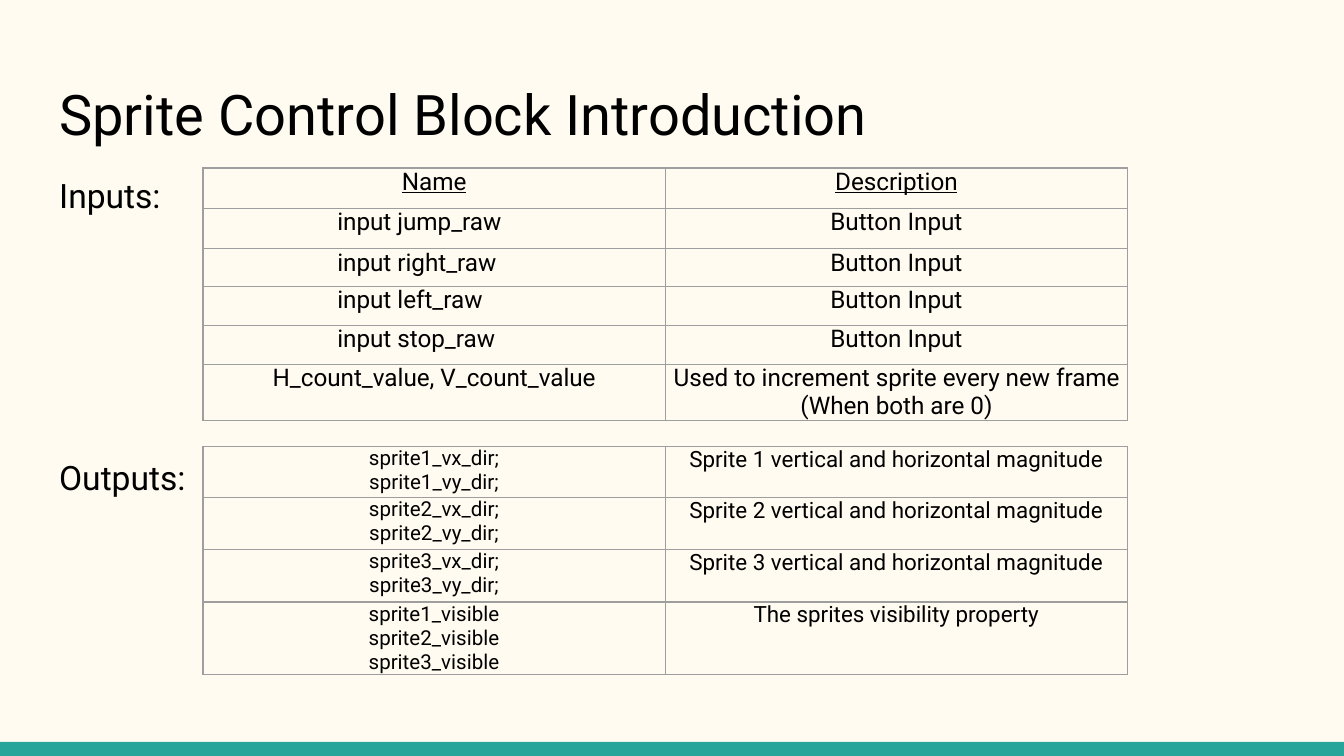
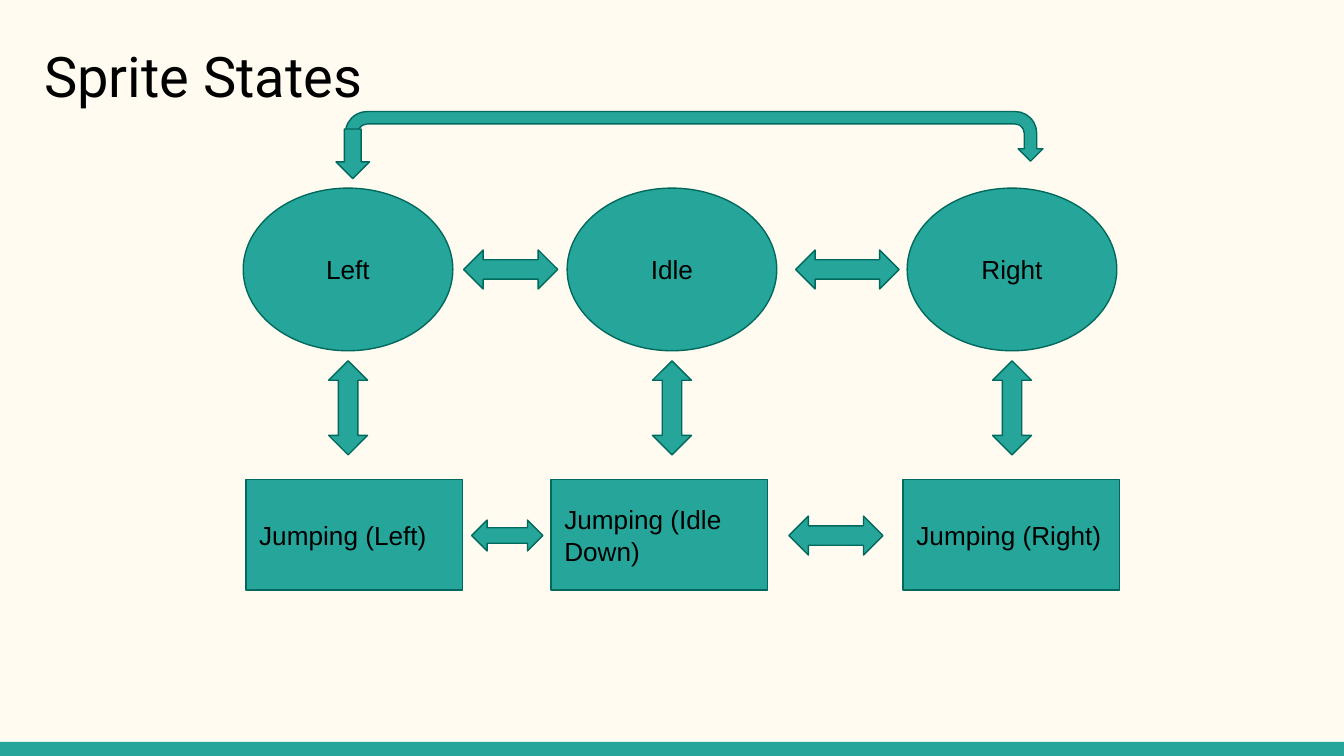
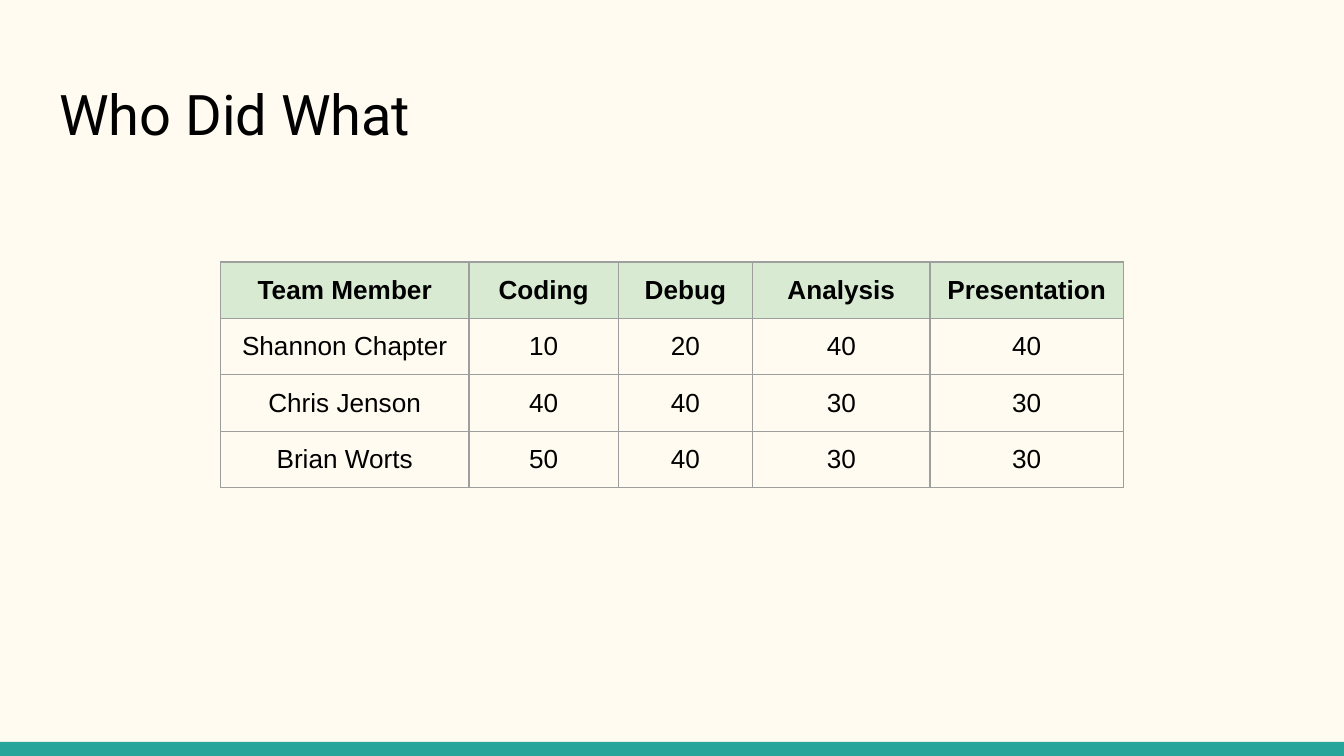
from dataclasses import dataclass
from typing import NamedTuple

from lxml import etree
from pptx import Presentation
from pptx.dml.color import RGBColor
from pptx.enum.shapes import MSO_SHAPE
from pptx.enum.text import MSO_ANCHOR, MSO_AUTO_SIZE, PP_ALIGN
from pptx.oxml.ns import qn
from pptx.util import Emu, Inches, Pt

OVAL, RECT = MSO_SHAPE.OVAL, MSO_SHAPE.RECTANGLE
TWO_WAY, DOWN, U_TURN = (
    MSO_SHAPE.LEFT_RIGHT_ARROW, MSO_SHAPE.DOWN_ARROW, MSO_SHAPE.U_TURN_ARROW)
LEFT, MID = PP_ALIGN.LEFT, PP_ALIGN.CENTER
TOP, CENTER = MSO_ANCHOR.TOP, MSO_ANCHOR.MIDDLE
WIDE, HIGH = Inches(10), Inches(5.625)
COLS = 100
ROWS = COLS * HIGH / WIDE


@dataclass(frozen=True)
class Theme:
    paper: str = "FFFBF0"
    teal: str = "26A69A"
    edge: str = "00695C"
    grid: str = "9E9E9E"
    mint: str = "D9EAD3"
    ink: str = "000000"
    head: str = "Roboto"
    plain: str = "Arial"
    title: int = 30
    label: int = 18
    state: int = 14
    input: int = 13
    note: int = 12
    code: int = 11
    line: float = 0.75
    pad: float = 1


THEME = Theme()


class Box(NamedTuple):
    x: float
    y: float
    w: float
    h: float


class Node(NamedTuple):
    text: str
    mid: float


class Arrow(NamedTuple):
    mid: float
    row: float
    size: float
    thick: float
    turn: int = 0


class Cell(NamedTuple):
    text: str
    size: int
    font: str = THEME.head
    bold: bool = False
    under: bool = False
    inset: float = 0
    fill: str = ""


class Grid(NamedTuple):
    x: float
    y: float
    cols: list[float]
    rows: list[float]
    pad: float
    cells: list[list[Cell]]


TITLE = Box(3.4, 4.9, 93.2, 6.7)
TITLE_UP = Box(2.3, 2.1, 27.4, 6.7)
BODY = Box(3.4, 11.6, 93.2, 38.4)
BAND = Box(0, 55.2, COLS, ROWS - 55.2)

OVALS = [Node("Left", 25.9), Node("Idle", 50), Node("Right", 75.3)]
JUMPS = [Node("Jumping (Left)", 26.35), Node("Jumping (Idle Down)", 49.05),
         Node("Jumping (Right)", 75.25)]
ARROWS = [
    Arrow(38, 20.05, 7, 2.9),
    Arrow(63.05, 20.05, 7.7, 2.9),
    *(Arrow(node.mid, 30.35, 7, 2.9, 90) for node in OVALS),
    Arrow(37.75, 39.85, 5.3, 2.3),
    Arrow(62.2, 39.85, 7, 2.9),
]

INPUTS = Grid(
    15.1, 12.5, [34.4] * 2, [3, 3, 2.8, 2.9, 2.9, 4.2], 0,
    [[Cell(text, THEME.input, under=True) for text in ("Name", "Description")]]
    + [[Cell(f"input {key}_raw", THEME.input, inset=10),
        Cell("Button Input", THEME.input)]
       for key in ("jump", "right", "left", "stop")]
    + [[Cell("H_count_value, V_count_value", THEME.input),
        Cell("Used to increment sprite every new frame (When both are 0)",
             THEME.input)]])

OUTPUTS = Grid(
    15.1, 33.2, [34.4] * 2, [3.8, 3.9, 3.9, 5.4], 0,
    [[Cell(f"sprite{n}_vx_dir;\nsprite{n}_vy_dir;", THEME.code),
      Cell(f"Sprite {n} vertical and horizontal magnitude", THEME.note)]
     for n in (1, 2, 3)]
    + [[Cell("\n".join(f"sprite{n}_visible" for n in (1, 2, 3)), THEME.code),
        Cell("The sprites visibility property", THEME.note)]])

TASKS = ["Team Member", "Coding", "Debug", "Analysis", "Presentation"]
SHARES = [
    ["Shannon Chapter", "10", "20", "40", "40"],
    ["Chris Jenson", "40", "40", "30", "30"],
    ["Brian Worts", "50", "40", "30", "30"],
]
TEAM = Grid(
    16.4, 19.5, [18.5, 11.1, 10, 13.2, 14.4], [4.2] * 4, THEME.pad,
    [[Cell(text, THEME.state, THEME.plain, bold=True, fill=THEME.mint)
      for text in TASKS]]
    + [[Cell(text, THEME.state, THEME.plain) for text in row]
       for row in SHARES])


def span(units: float) -> Emu:
    return Emu(round(units * WIDE / COLS))


def paint(fill, tone: str) -> None:
    fill.solid()
    fill.fore_color.rgb = RGBColor.from_string(tone)


def place(shape, box: Box) -> None:
    shape.left, shape.top, shape.width, shape.height = map(span, box)


def frame(text, anchor) -> None:
    text.word_wrap = True
    text.auto_size = MSO_AUTO_SIZE.NONE
    text.vertical_anchor = anchor
    text.margin_left = text.margin_right = span(THEME.pad)
    text.margin_top = text.margin_bottom = span(THEME.pad)


def style(par, size: int, font: str, align) -> None:
    par.alignment = align
    par.font.size = Pt(size)
    par.font.name = font
    par.font.color.rgb = RGBColor.from_string(THEME.ink)


def indent(par, units: float) -> None:
    props = par._p.get_or_add_pPr()
    props.set("marL", str(span(units)))
    props.set("indent", "0")


def start(deck, layout: int, text: str, box: Box = TITLE):
    slide = deck.slides.add_slide(deck.slide_layouts[layout])
    title = slide.shapes.title
    place(title, box)
    title.text_frame.text = text
    frame(title.text_frame, TOP)
    style(title.text_frame.paragraphs[0], THEME.title, THEME.head, LEFT)
    return slide


def draw(slide, kind, box: Box, edge: str = THEME.edge):
    shape = slide.shapes.add_shape(kind, *map(span, box))
    shape.shadow.inherit = False
    paint(shape.fill, THEME.teal)
    if edge:
        paint(shape.line.fill, edge)
        shape.line.width = Pt(THEME.line)
    else:
        shape.line.fill.background()
    return shape


def draw_nodes(slide, kind, nodes: list[Node], y: float, w: float, h: float,
               align) -> None:
    for node in nodes:
        shape = draw(slide, kind, Box(node.mid - w / 2, y, w, h))
        shape.text_frame.text = node.text
        frame(shape.text_frame, CENTER)
        style(shape.text_frame.paragraphs[0], THEME.state, THEME.plain, align)


def draw_arrow(slide, arrow: Arrow) -> None:
    box = Box(arrow.mid - arrow.size / 2, arrow.row - arrow.thick / 2,
              arrow.size, arrow.thick)
    draw(slide, TWO_WAY, box).rotation = arrow.turn


def rule(cell) -> None:
    props = cell._tc.get_or_add_tcPr()
    for spot, side in enumerate(("lnL", "lnR", "lnT", "lnB")):
        line = etree.Element(qn(f"a:{side}"), w=str(Pt(THEME.line)))
        fill = etree.SubElement(line, qn("a:solidFill"))
        etree.SubElement(fill, qn("a:srgbClr"), val=THEME.grid)
        props.insert(spot, line)


def fill_cell(cell, data: Cell, pad: float) -> None:
    cell.text = data.text
    cell.margin_left = cell.margin_right = span(pad)
    cell.margin_top = cell.margin_bottom = span(pad)
    if data.fill:
        paint(cell.fill, data.fill)
    else:
        cell.fill.background()
    rule(cell)
    for par in cell.text_frame.paragraphs:
        style(par, data.size, data.font, LEFT if data.inset else MID)
        par.font.bold = data.bold
        par.font.underline = data.under
        if data.inset:
            indent(par, data.inset)


def draw_grid(slide, grid: Grid) -> None:
    box = Box(grid.x, grid.y, sum(grid.cols), sum(grid.rows))
    table = slide.shapes.add_table(
        len(grid.rows), len(grid.cols), *map(span, box)).table
    table.first_row = table.horz_banding = False
    for col, width in zip(table.columns, grid.cols):
        col.width = span(width)
    for row, height, cells in zip(table.rows, grid.rows, grid.cells):
        row.height = span(height)
        for cell, data in zip(row.cells, cells):
            fill_cell(cell, data, grid.pad)


def add_labels(slide) -> None:
    body = slide.placeholders[1]
    place(body, BODY)
    body.text_frame.text = "Inputs:\nOutputs:"
    frame(body.text_frame, TOP)
    for par, gap in zip(body.text_frame.paragraphs, (0, 126)):
        style(par, THEME.label, THEME.head, LEFT)
        par.line_spacing = 1.15
        par.space_before = Pt(gap)
        indent(par, 0)
        etree.SubElement(par._p.get_or_add_pPr(), qn("a:buNone"))
        props = par._p.pPr
        props.insert(props.index(props.find(qn("a:defRPr"))), props[-1])


def add_intro(deck) -> None:
    slide = start(deck, 1, "Sprite Control Block Introduction")
    add_labels(slide)
    draw_grid(slide, INPUTS)
    draw_grid(slide, OUTPUTS)


def add_states(deck) -> None:
    slide = start(deck, 5, "Sprite States", TITLE_UP)
    draw_nodes(slide, OVAL, OVALS, 14, 15.6, 12.1, MID)
    draw_nodes(slide, RECT, JUMPS, 35.7, 16.1, 8.2, LEFT)
    for arrow in ARROWS:
        draw_arrow(slide, arrow)
    loop = draw(slide, U_TURN, Box(25.7, 8.3, 51.9, 3.7))
    loop.adjustments[4] = 1
    draw(slide, DOWN, Box(25, 9.6, 2.5, 3.7))


def add_team(deck) -> None:
    draw_grid(start(deck, 5, "Who Did What"), TEAM)


def set_master(deck) -> None:
    master = deck.slide_master
    paint(master.background.fill, THEME.paper)
    band = draw(deck.slides[0], RECT, BAND, edge="")
    master.shapes._spTree.append(band._element)


def main() -> None:
    deck = Presentation()
    deck.slide_width, deck.slide_height = WIDE, HIGH
    add_intro(deck)
    add_states(deck)
    add_team(deck)
    set_master(deck)
    deck.save("out.pptx")


if __name__ == "__main__":
    main()
